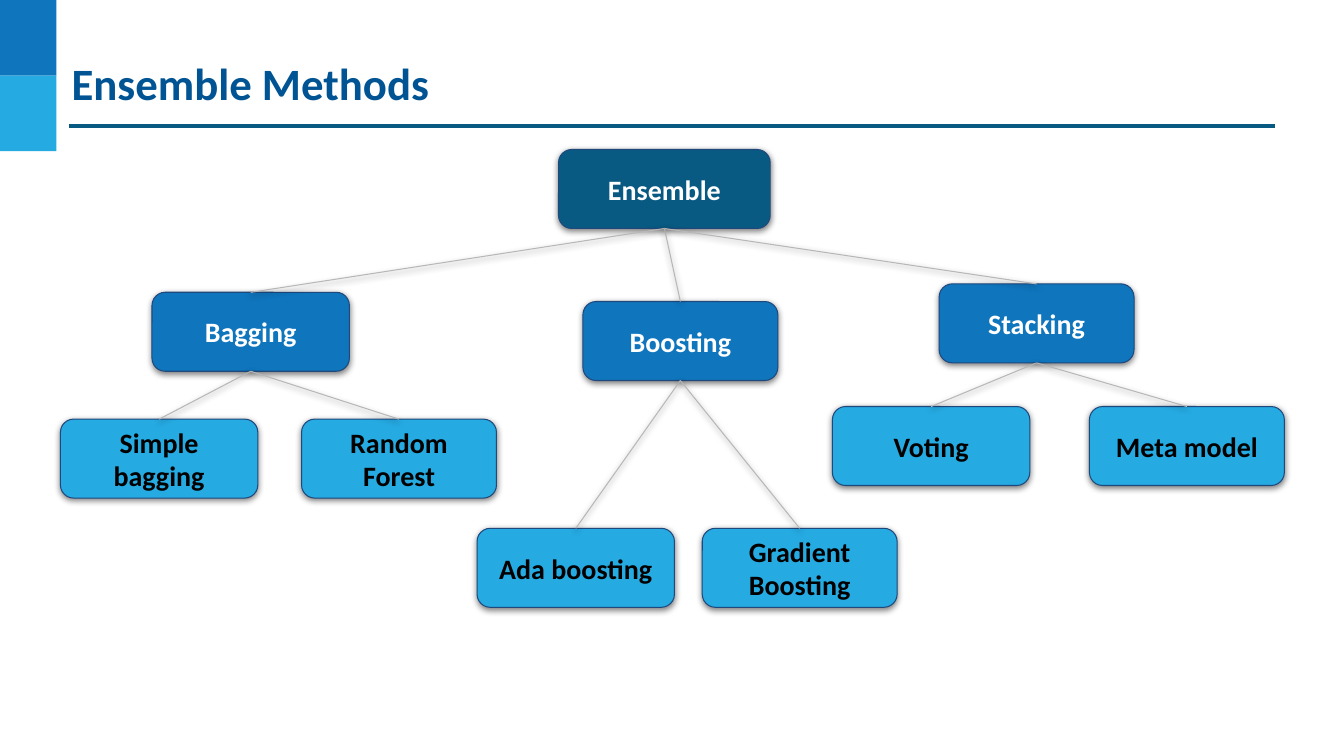
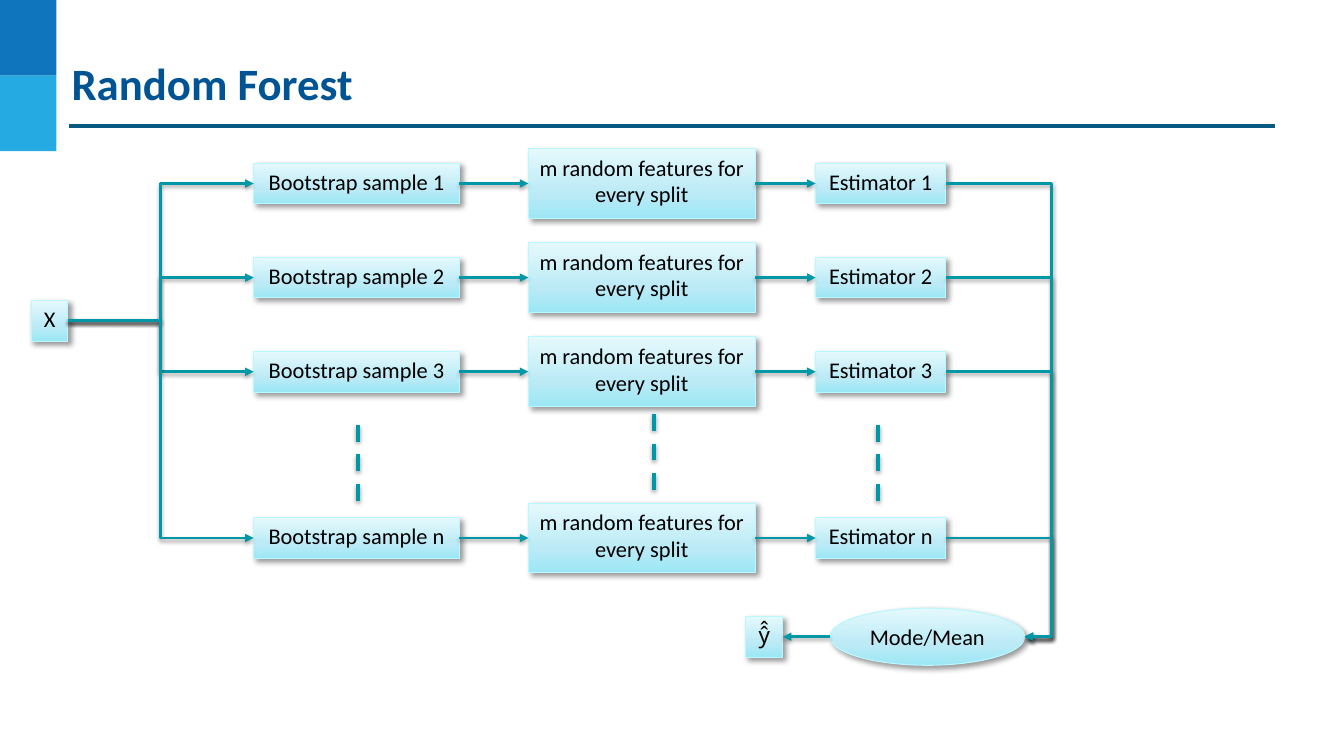
import copy

import pptx
import pptx.dml.color
import pptx.enum.dml
import pptx.enum.shapes
import pptx.enum.text
import pptx.oxml
import pptx.oxml.ns
import pptx.util

Pt = pptx.util.Pt
KIND = pptx.enum.shapes.MSO_SHAPE
WIRE = pptx.enum.shapes.MSO_CONNECTOR
ALIGN = pptx.enum.text.PP_ALIGN
ANCHOR = pptx.enum.text.MSO_ANCHOR
qn = pptx.oxml.ns.qn

INK = {
    "navy": "095A82", "blue": "0F75BD", "sky": "25AAE2", "title": "005493",
    "edge": "1F497D", "grey": "B7B7B7", "teal": "0097A7", "rim": "BAF8FF",
    "white": "FFFFFF", "black": "000000",
}
GLOW = ((0, "9CE7F5"), (0.35, "BBEAF6"), (1, "E4F9FC"))
FONT = "Calibri"
COLS, ROWS = 160, 90
TOP, LEFT, BASE, RIGHT = range(4)

# Shadows: opacity in percent, blur and distance in points, angle in degrees
SOFT = (49, 4.5, 1.5, 90)
CAST = (40, 4, 3, 45)
THIN = (37, 3.1, 1.6, 90)

# Line looks: colour, weight, shadow, arrowhead, dashes
BRANCH = ("grey", 0.75, SOFT, False, False)
ARROW = ("teal", 2, THIN, True, False)
DOTS = ("teal", 3, THIN, False, True)
RULE = ("navy", 2.25, None, False, False)


def tint(name):
    return pptx.dml.color.RGBColor.from_string(INK.get(name, name))


def node(text):
    space = pptx.oxml.ns.nsdecls("a")
    return pptx.oxml.parse_xml(f"<a:wrap {space}>{text}</a:wrap>")[0]


def shade(props, look):
    """Replace the effects of a shape or line by one shadow, or by none."""
    for old in props.findall(qn("a:effectLst")):
        props.remove(old)
    cast = ""
    if look:
        alpha, blur, dist, angle = look
        cast = (f'<a:outerShdw blurRad="{Pt(blur)}" dist="{Pt(dist)}" '
                f'dir="{angle * 60000}" rotWithShape="0">'
                f'<a:srgbClr val="{INK["black"]}">'
                f'<a:alpha val="{alpha * 1000}"/></a:srgbClr></a:outerShdw>')
    props.append(node(f"<a:effectLst>{cast}</a:effectLst>"))


class Deck:
    def __init__(self):
        self.file = pptx.Presentation()
        self.file.slide_width = pptx.util.Inches(13.333)
        self.file.slide_height = pptx.util.Inches(7.5)
        self.page = None

    def col(self, num):
        return round(self.file.slide_width * num / COLS)

    def row(self, num):
        return round(self.file.slide_height * num / ROWS)

    def frame(self, x, y, w, h):
        return self.col(x), self.row(y), self.col(w), self.row(h)

    def slide(self, title):
        """Start a slide with its corner blocks, rule and title."""
        self.page = self.file.slides.add_slide(self.file.slide_layouts[6])
        for i, color in enumerate(("blue", "sky")):
            self.shape(KIND.RECTANGLE, (0, 9 * i, 6.72, 9), color)
        self.line((8.16, 15), (151.8, 15), RULE)
        label = self.page.shapes.add_textbox(*self.frame(8.28, 6.36, 147.5, 10))
        self.text(label, title, 32, "title", True, (0.02, 0.02))

    def text(self, shape, words, size, color, bold, pad, align=ALIGN.LEFT,
             anchor=ANCHOR.TOP):
        body = shape.text_frame
        body.text = words
        body.word_wrap = True
        body.vertical_anchor = anchor
        body.margin_left = body.margin_right = pptx.util.Inches(pad[0])
        body.margin_top = body.margin_bottom = pptx.util.Inches(pad[1])
        for para in body.paragraphs:
            para.alignment = align
            for run in para.runs:
                run.font.name = FONT
                run.font.size = Pt(size)
                run.font.bold = bold
                run.font.color.rgb = tint(color)

    def shape(self, kind, area, color=None, edge=None, cast=None):
        """Draw a shape; without a colour it gets the pale gradient."""
        item = self.page.shapes.add_shape(kind, *self.frame(*area))
        if color:
            item.fill.solid()
            item.fill.fore_color.rgb = tint(color)
        else:
            self.glow(item)
        if edge:
            item.line.color.rgb = tint(edge)
            item.line.width = Pt(0.75)
        else:
            item.line.fill.background()
        item.shadow.inherit = False
        shade(item._element.spPr, cast)
        return item

    def glow(self, item):
        item.fill.gradient()
        item.fill.gradient_angle = 90
        stops = item._element.spPr.find(".//" + qn("a:gsLst"))
        stops.insert(1, copy.deepcopy(stops[0]))
        for stop, (place, color) in zip(item.fill.gradient_stops, GLOW):
            stop.position = place
            stop.color.rgb = tint(color)

    def card(self, words, x, mid, w, color, ink="white"):
        """Rounded tree box, placed by its left side and middle row."""
        high = 9.4
        item = self.shape(KIND.ROUNDED_RECTANGLE, (x, mid - high / 2, w, high),
                          color, "edge", SOFT)
        self.text(item, words, 20, ink, True, (0.1, 0.1), ALIGN.CENTER,
                  ANCHOR.MIDDLE)
        return item

    def step(self, words, x, mid, w, h=4.85, kind=KIND.RECTANGLE):
        """Pale box of the flow, placed by its left side and middle row."""
        item = self.shape(kind, (x, mid - h / 2, w, h), None, "rim", CAST)
        self.text(item, words, 16, "black", False, (0.1, 0.05), ALIGN.CENTER,
                  ANCHOR.MIDDLE if kind == KIND.OVAL else ANCHOR.TOP)
        return item

    def line(self, start, end, look, kind=WIRE.STRAIGHT):
        color, weight, cast, arrow, dash = look
        item = self.page.shapes.add_connector(
            kind, self.col(start[0]), self.row(start[1]),
            self.col(end[0]), self.row(end[1]))
        item.line.color.rgb = tint(color)
        item.line.width = Pt(weight)
        if dash:
            item.line.dash_style = pptx.enum.dml.MSO_LINE.DASH
        if arrow:
            edge = item._element.spPr.find(qn("a:ln"))
            edge.append(node('<a:tailEnd type="triangle"/>'))
        shade(item._element.spPr, cast)
        return item

    def join(self, first, side, last, goal, look):
        item = self.line((0, 0), (0, 0), look)
        item.begin_connect(first, side)
        item.end_connect(last, goal)

    def bend(self, start, end, turn, look):
        """Elbow line whose upright part runs along the column turn."""
        item = self.line(start, end, look, WIRE.ELBOW)
        share = round((turn - start[0]) / (end[0] - start[0]) * 100000)
        geom = item._element.spPr.find(qn("a:prstGeom"))
        for old in list(geom):
            geom.remove(old)
        geom.append(node(f'<a:avLst><a:gd name="adj1" fmla="val {share}"/></a:avLst>'))


def tree(deck):
    deck.slide("Ensemble Methods")
    wide, slim = 23.5, 23.2
    root = deck.card("Ensemble", 66.5, 22.5, 25.2, "navy")
    # Each branch: name, left, middle, width, row of its leaves, leaves
    groups = (
        ("Bagging", 18.1, 39.5, wide, 54.6,
         (("Simple bagging", 7.2), ("Random Forest", 35.9))),
        ("Boosting", 69.4, 40.6, slim, 67.6,
         (("Ada boosting", 56.8), ("Gradient Boosting", 83.6))),
        ("Stacking", 111.8, 38.5, slim, 53.1,
         (("Voting", 99.1), ("Meta model", 129.7))),
    )
    for name, x, mid, w, low, leaves in groups:
        head = deck.card(name, x, mid, w, "blue")
        deck.join(root, BASE, head, TOP, BRANCH)
        for (words, left), size in zip(leaves, (wide, slim)):
            leaf = deck.card(words, left, low, size, "sky", "black")
            deck.join(head, BASE, leaf, TOP, BRANCH)


def flow(deck):
    deck.slide("Random Forest")
    rows = [21.85 + 11.2 * i for i in range(3)] + [64.05]
    entry, fork, bus, last = 38.2, 19.1, 125.2, 75.8
    # Column of each stage: left side and width
    samp, feat, est = (30.2, 24.5), (62.9, 27), (97.1, 15.5)

    # Input and result
    deck.step("X", 3.7, entry, 4.4)
    deck.step("Mode/Mean", 98.8, last, 23.2, 6.8, KIND.OVAL)
    goal = deck.step("ŷ̂", 88.8, last, 4.4)
    deck.line((98.8, last), (0, last), ARROW).end_connect(goal, RIGHT)

    # One row for each tree of the forest
    for mark, mid in zip("123n", rows):
        boot = deck.step(f"Bootstrap sample {mark}", samp[0], mid, samp[1])
        split = deck.step("m random features for every split", feat[0], mid,
                          feat[1], 8.3)
        guess = deck.step(f"Estimator {mark}", est[0], mid, est[1])
        deck.bend((8.1, entry), (samp[0], mid), fork, ARROW)
        deck.join(boot, RIGHT, split, LEFT, ARROW)
        deck.join(split, RIGHT, guess, LEFT, ARROW)
        deck.bend((sum(est), mid), (122, last), bus, ARROW)

    # Dashes that stand for the rows between
    for x, y in ((42.6, 50.6), (77.9, 49.3), (104.5, 50.6)):
        deck.line((x, y), (x, y + 9.5), DOTS)


def main():
    deck = Deck()
    tree(deck)
    flow(deck)
    deck.file.save("out.pptx")


if __name__ == "__main__":
    main()
